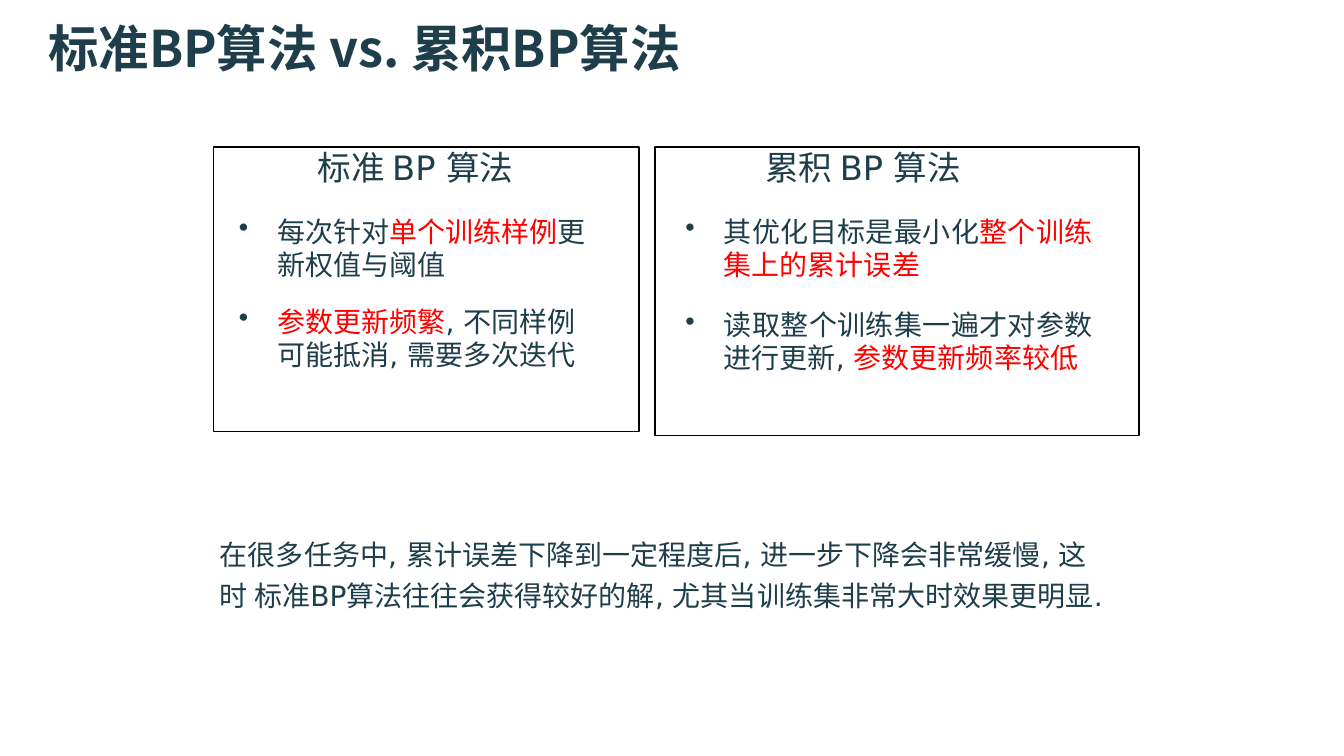
from lxml.etree import SubElement
from pptx import Presentation
from pptx.dml.color import RGBColor
from pptx.enum.shapes import MSO_SHAPE
from pptx.enum.text import MSO_ANCHOR, PP_ALIGN
from pptx.oxml.ns import qn
from pptx.util import Pt

CJK, LATIN = "Noto Sans CJK SC", "DejaVu Sans"
INK, RED, BLACK = "1E3E4B", "FF0000", "000000"
BODY_SIZE, LINE_PITCH = 20, 23.4

TITLE = "标准BP算法 vs. 累积BP算法"
CONCLUSION = ("在很多任务中, 累计误差下降到一定程度后, 进一步下降会非常缓慢, "
              "这时 标准BP算法往往会获得较好的解, 尤其当训练集非常大时效果更明显.")

# Each point is a list of (text, colour) pieces.
PANELS = [
    {
        "heading": "标准 BP 算法",
        "box": (152.6, 105.1, 303.8, 203), "right_inset": 37.5,
        "heading_indent": 74.2, "point_indent": 45.4,
        "align": PP_ALIGN.LEFT, "gaps": (19.9, 17.4),
        "points": [
            [("每次针对", INK), ("单个训练样例", RED), ("更新权值与阈值", INK)],
            [("参数更新频繁", RED), (", 不同样例 可能抵消, 需要多次迭代", INK)],
        ],
    },
    {
        "heading": "累积 BP 算法",
        "box": (468, 105.1, 345.6, 205.9), "right_inset": 33,
        "heading_indent": 78.5, "point_indent": 49,
        "align": PP_ALIGN.JUSTIFY, "gaps": (19.9, 19.9),
        "points": [
            [("其优化目标是最小化", INK), ("整个训练集上的累计误差", RED)],
            [("读取整个训练集一遍才对参数进行更新, ", INK), ("参数更新频率较低", RED)],
        ],
    },
]


def colour(hex_code):
    return RGBColor.from_string(hex_code)


def add_piece(paragraph, text, size, ink=INK, latin=LATIN, bold=False):
    run = paragraph.add_run()
    run.text = text
    run.font.size = Pt(size)
    run.font.bold = bold
    run.font.color.rgb = colour(ink)
    run.font.name = latin
    SubElement(run._r.get_or_add_rPr(), qn("a:ea"), typeface=CJK)


def indent(paragraph, left, first=0):
    properties = paragraph._p.get_or_add_pPr()
    properties.set("marL", str(Pt(left)))
    properties.set("indent", str(Pt(first)))
    return properties


def add_bullet(paragraph, left):
    properties = indent(paragraph, left, -27.4)
    bullet_colour = SubElement(properties, qn("a:buClr"))
    SubElement(bullet_colour, qn("a:srgbClr"), val=INK)
    SubElement(properties, qn("a:buChar"), char="•")


def prepare_frame(shape, insets, anchor=MSO_ANCHOR.TOP):
    frame = shape.text_frame
    frame.word_wrap = True
    frame.vertical_anchor = anchor
    (frame.margin_left, frame.margin_top,
     frame.margin_right, frame.margin_bottom) = map(Pt, insets)
    return frame


def add_panel(slide, panel):
    box = slide.shapes.add_shape(MSO_SHAPE.RECTANGLE, *map(Pt, panel["box"]))
    box.shadow.inherit = False
    box.fill.background()
    box.line.color.rgb = colour(BLACK)
    box.line.width = Pt(0.96)

    frame = prepare_frame(box, (0, 0, panel["right_inset"], 0))
    heading = frame.paragraphs[0]
    heading.alignment = PP_ALIGN.LEFT
    indent(heading, panel["heading_indent"])
    add_piece(heading, panel["heading"], 24)

    for pieces, gap in zip(panel["points"], panel["gaps"]):
        point = frame.add_paragraph()
        add_bullet(point, panel["point_indent"])
        point.alignment = panel["align"]
        point.line_spacing = Pt(LINE_PITCH)
        point.space_before = Pt(gap)
        for text, ink in pieces:
            add_piece(point, text, BODY_SIZE, ink)


def main():
    presentation = Presentation()
    presentation.slide_width, presentation.slide_height = Pt(960), Pt(540)
    slide = presentation.slides.add_slide(presentation.slide_layouts[6])

    title_box = slide.shapes.add_textbox(Pt(27.4), Pt(5.8), Pt(828), Pt(61.2))
    title = prepare_frame(title_box, (7.2, 3.6, 7.2, 3.6), MSO_ANCHOR.MIDDLE).paragraphs[0]
    title.line_spacing = 0.9
    add_piece(title, TITLE, 36, latin=CJK, bold=True)

    for panel in PANELS:
        add_panel(slide, panel)

    conclusion_box = slide.shapes.add_textbox(Pt(156.2), Pt(379.4), Pt(645.1), Pt(58.3))
    conclusion = prepare_frame(conclusion_box, (0, 0, 5, 0)).paragraphs[0]
    indent(conclusion, 0.9)
    conclusion.line_spacing = 1.2
    add_piece(conclusion, CONCLUSION, BODY_SIZE)

    presentation.save("out.pptx")


if __name__ == "__main__":
    main()
